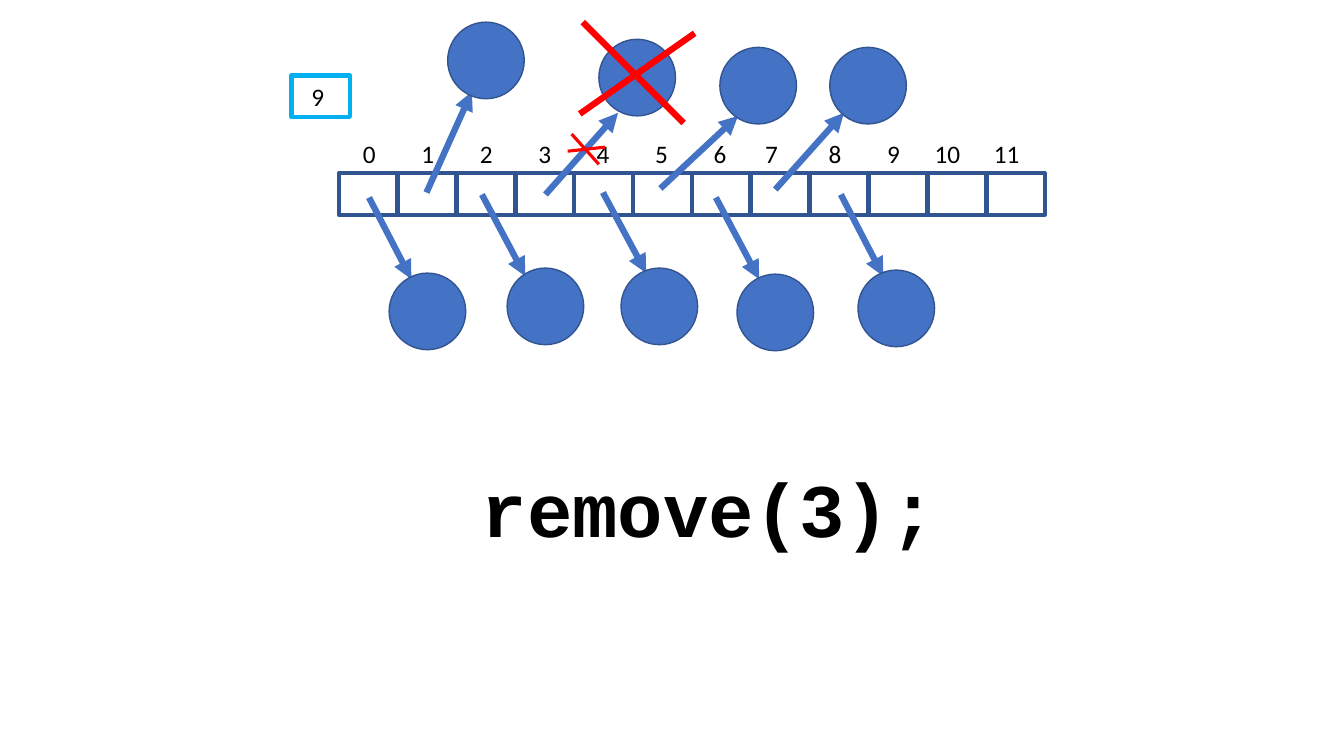
"""Build a slide that shows remove(3) on an array of object references."""
from lxml.etree import SubElement as Sub
from pptx import Presentation
from pptx.dml.color import RGBColor as Rgb
from pptx.enum.shapes import MSO_CONNECTOR as Conn, MSO_SHAPE as Form
from pptx.enum.text import MSO_ANCHOR as Anchor, MSO_AUTO_SIZE as Auto, PP_ALIGN as Align
from pptx.oxml.ns import qn
from pptx.util import Inches, Pt

hues = {"white": "FFFFFF", "black": "000000", "blue": "4472C4",
        "navy": "325491", "sky": "00B0F0", "red": "FF0000"}

deck = Presentation()
deck.slide_width, deck.slide_height = Inches(13.33), Inches(7.5)
slide = deck.slides.add_slide(deck.slide_layouts[6])
items = slide.shapes


def add_form(form, box, fill, edge, width):
    shape = items.add_shape(form, *map(Inches, box))
    shape.shadow.inherit = False
    shape.fill.solid()
    shape.fill.fore_color.rgb = Rgb.from_string(hues[fill])
    shape.line.color.rgb = Rgb.from_string(hues[edge])
    shape.line.width = Pt(width)
    return shape


def add_line(ends, hue, width, arrow=False):
    line = items.add_connector(Conn.STRAIGHT, *map(Inches, ends))
    line.line.color.rgb = Rgb.from_string(hues[hue])
    line.line.width = Pt(width)
    if arrow:
        Sub(line.line._get_or_add_ln(), qn("a:tailEnd"), type="triangle")
    Sub(line._element.spPr, qn("a:effectLst"))


size = 0.58, 0.41
for slot in range(12):
    add_form(Form.RECTANGLE, (3.36 + slot * 0.584, 1.72, *size), "white", "navy", 3)

arrows = [(3.66, 1.96, 4.08, 2.77), (4.23, 1.91, 4.68, 0.91), (4.78, 1.93, 5.21, 2.74),
          (5.41, 1.93, 6.13, 1.12), (5.98, 1.91, 6.41, 2.71), (6.55, 1.87, 7.32, 1.15),
          (7.1, 1.96, 7.53, 2.77), (7.69, 1.88, 8.37, 1.12), (8.34, 1.93, 8.76, 2.74)]
for ends in arrows:
    add_line(ends, "blue", 4.5, True)

nodes = [(4.44, 0.22), (5.94, 0.39), (7.14, 0.47), (8.23, 0.47), (3.86, 2.71),
         (5.03, 2.66), (6.16, 2.66), (7.31, 2.72), (8.51, 2.68)]
for spot in nodes:
    add_form(Form.OVAL, (*spot, 0.76, 0.76), "blue", "navy", 1)

count = add_form(Form.RECTANGLE, (2.89, 0.75, *size), "white", "sky", 3)
count.text_frame.vertical_anchor = Anchor.MIDDLE
labels = items.add_textbox(*map(Inches, (3.5, 1.32, 7.05, 0.4)))
call = items.add_textbox(*map(Inches, (4.68, 4.53, 5.18, 1.01)))
for box in labels, call:
    box.text_frame.word_wrap = True
    box.text_frame.auto_size = Auto.SHAPE_TO_FIT_TEXT

texts = [(count, "9 ", 18, "Calibri", False, Align.CENTER),
         (labels, "\t".join(map(str, range(12))), 18, "Calibri", False, Align.LEFT),
         (call, "remove(3);", 54, "Courier New", True, Align.LEFT)]
for shape, words, points, face, bold, align in texts:
    para = shape.text_frame.paragraphs[0]
    para.alignment = align
    run = para.add_run()
    run.text = words
    run.font.size, run.font.name, run.font.bold = Pt(points), face, bold
    run.font.color.rgb = Rgb.from_string(hues["black"])

tabs = Sub(labels.text_frame.paragraphs[0]._p.get_or_add_pPr(), qn("a:tabLst"))
for stop in (0.58, 1.16, 1.74, 2.32, 2.9, 3.48, 3.99, 4.62, 5.2, 5.67, 6.26):
    Sub(tabs, qn("a:tab"), pos=str(Inches(stop)), algn="l")

strikes = [(5.78, 0.22, 6.78, 1.22, 4.5), (5.75, 1.13, 6.89, 0.33, 4.5),
           (5.67, 1.33, 5.94, 1.63, 2.25), (5.63, 1.5, 6, 1.46, 2.25)]
for *ends, width in strikes:
    add_line(ends, "red", width)

deck.save("out.pptx")
